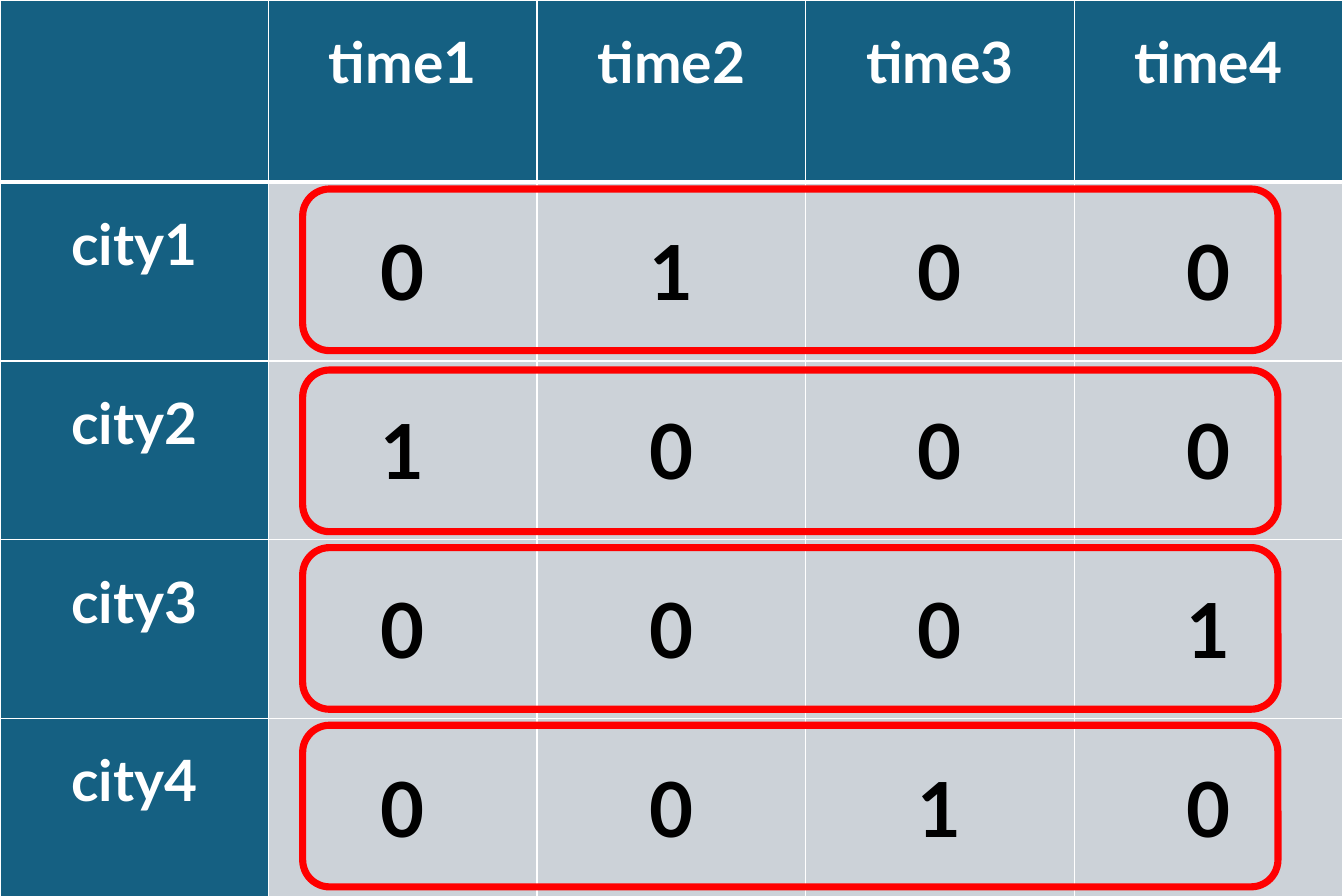
from dataclasses import dataclass

from lxml.etree import SubElement
from pptx import Presentation
from pptx.dml.color import RGBColor
from pptx.enum.shapes import MSO_SHAPE
from pptx.enum.text import MSO_ANCHOR, PP_ALIGN
from pptx.oxml.ns import qn
from pptx.slide import Slide
from pptx.table import Table, _Cell
from pptx.util import Inches, Pt

WIDE, HIGH = 11.81, 7.87
COL, HEAD, ROW = 2.36, 1.6, 1.57
TEAL, GREY, WHITE, BLACK, RED = "156082", "CCD2D8", "FFFFFF", "000000", "FF0000"


@dataclass
class City:
    name: str
    marks: str
    top: float


TIMES = ["", "time1", "time2", "time3", "time4"]
CITIES = [
    City("city1", "0100", 1.66),
    City("city2", "1000", 3.25),
    City("city3", "0001", 4.81),
    City("city4", "0010", 6.37),
]


def color(code: str) -> RGBColor:
    return RGBColor.from_string(code)


def write(cell: _Cell, text: str, *, size: int, ink: str, anchor: MSO_ANCHOR) -> None:
    cell.margin_left = cell.margin_right = Inches(0.47)
    cell.margin_top = cell.margin_bottom = Inches(0.24)
    cell.vertical_anchor = anchor
    para = cell.text_frame.paragraphs[0]
    para.alignment = PP_ALIGN.CENTER
    run = para.add_run()
    run.text = text
    run.font.name = "Lato"
    run.font.size = Pt(size)
    run.font.bold = True
    run.font.color.rgb = color(ink)


def border(cell: _Cell, top: int, base: int) -> None:
    props = cell._tc.get_or_add_tcPr()
    for side, width in zip("LRTB", (1, 1, top, base)):
        line = SubElement(props, qn(f"a:ln{side}"), w=str(Pt(width)))
        fill = SubElement(line, qn("a:solidFill"))
        SubElement(fill, qn("a:srgbClr"), val=WHITE)


def fill_row(table: Table, row: int, texts: list[str]) -> None:
    for col, text in enumerate(texts):
        cell = table.cell(row, col)
        label = row == 0 or col == 0
        border(cell, 3 if row == 1 else 1, 3 if row == 0 else 1)
        cell.fill.solid()
        cell.fill.fore_color.rgb = color(TEAL if label else GREY)
        if label:
            write(cell, text, size=36, ink=WHITE, anchor=MSO_ANCHOR.TOP)
        else:
            write(cell, text, size=48, ink=BLACK, anchor=MSO_ANCHOR.MIDDLE)


def add_grid(slide: Slide) -> None:
    rows = [TIMES] + [[city.name, *city.marks] for city in CITIES]
    frame = slide.shapes.add_table(
        len(rows), len(TIMES), 0, 0, Inches(WIDE), Inches(HIGH)
    )
    table = frame.table
    for col in table.columns:
        col.width = Inches(COL)
    for row, texts in enumerate(rows):
        table.rows[row].height = Inches(ROW if row else HEAD)
        fill_row(table, row, texts)


def add_ring(slide: Slide, city: City) -> None:
    ring = slide.shapes.add_shape(
        MSO_SHAPE.ROUNDED_RECTANGLE,
        Inches(2.66), Inches(city.top), Inches(8.57), Inches(1.42),
    )
    ring.shadow.inherit = False
    ring.fill.background()
    ring.line.color.rgb = color(RED)
    ring.line.width = Pt(4.5)


def main() -> None:
    deck = Presentation()
    deck.slide_width, deck.slide_height = Inches(WIDE), Inches(HIGH)
    slide = deck.slides.add_slide(deck.slide_layouts[6])
    add_grid(slide)
    for city in CITIES:
        add_ring(slide, city)
    deck.save("out.pptx")


if __name__ == "__main__":
    main()
